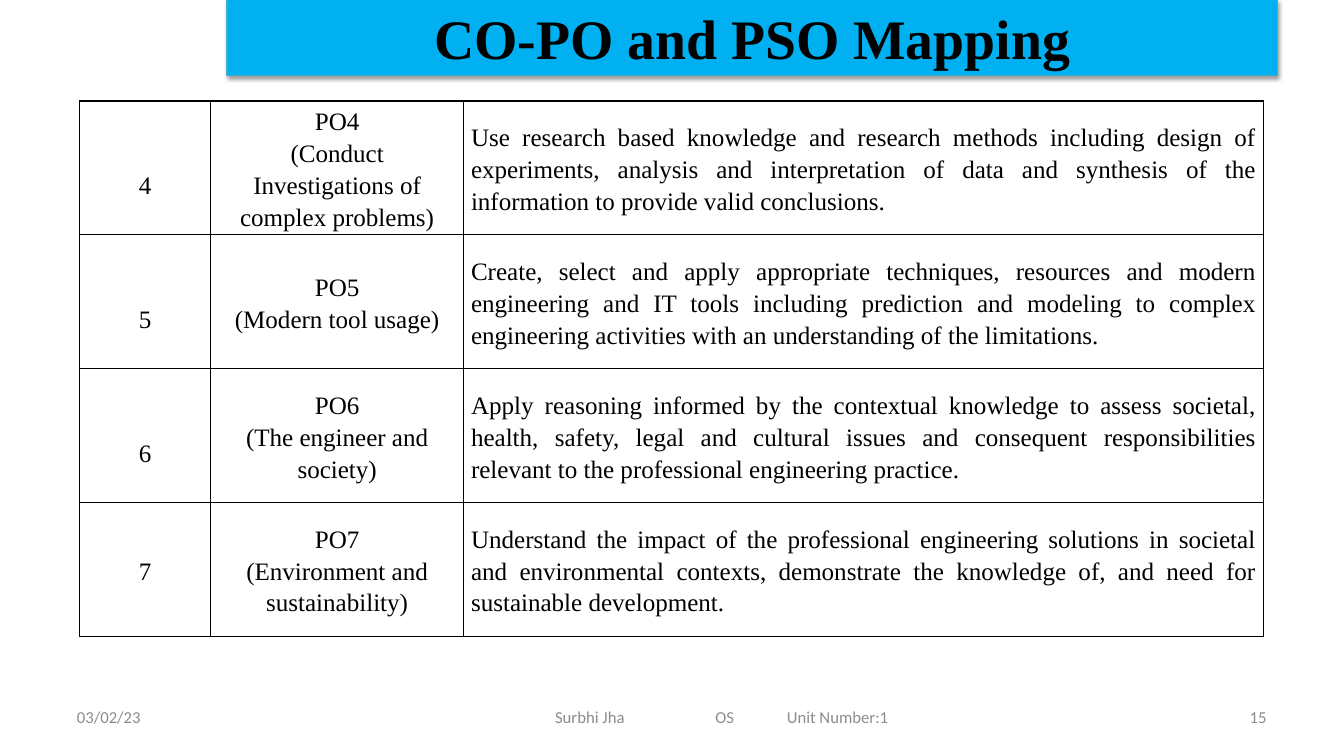
from lxml.etree import SubElement as Sub
from pptx import Presentation
from pptx.dml.color import RGBColor as RGB
from pptx.enum.shapes import MSO_SHAPE as Shape
from pptx.enum.text import MSO_ANCHOR as Anchor, PP_ALIGN as Align
from pptx.oxml import parse_xml
from pptx.oxml.ns import nsdecls, qn
from pptx.util import Cm, Pt

HUES = {"text": "000000", "bar": "00B0F0", "edge": "46AAC5", "foot": "8C8C8C"}
SERIF, SANS = "Times New Roman", "Calibri"


def style(para, font, size, hue, align):
    para.alignment = align
    para.font.name = font
    para.font.size = Pt(size)
    para.font.color.rgb = RGB.from_string(HUES[hue])


def outline(cell):
    """Draw a thin line on all four sides of a table cell."""
    props = cell._tc.get_or_add_tcPr()
    for side in ("lnL", "lnR", "lnT", "lnB"):
        line = Sub(props, qn(f"a:{side}"), w=str(Pt(1)))
        fill = Sub(line, qn("a:solidFill"))
        Sub(fill, qn("a:srgbClr"), val=HUES["text"])


deck = Presentation()
deck.slide_width, deck.slide_height = Cm(34.04), Cm(19.05)
slide = deck.slides.add_slide(deck.slide_layouts[6])

# Outcome table
rows = [
    ("4", "PO4\n(Conduct Investigations of complex problems)",
     "Use research based knowledge and research methods including design of "
     "experiments, analysis and interpretation of data and synthesis of the "
     "information to provide valid conclusions."),
    ("5", "PO5\n(Modern tool usage)",
     "Create, select and apply appropriate techniques, resources and modern "
     "engineering and IT tools including prediction and modeling to complex "
     "engineering activities with an understanding of the limitations."),
    ("6", "PO6\n(The engineer and society)",
     "Apply reasoning informed by the contextual knowledge to assess societal, "
     "health, safety, legal and cultural issues and consequent responsibilities "
     "relevant to the professional engineering practice."),
    ("7", "PO7\n(Environment and sustainability)",
     "Understand the impact of the professional engineering solutions in societal "
     "and environmental contexts, demonstrate the knowledge of, and need for "
     "sustainable development."),
]
widths = (3.33, 6.4, 20.27)
aligns = (Align.CENTER, Align.CENTER, Align.JUSTIFY)
height = 3.39

table = slide.shapes.add_table(len(rows), len(widths), Cm(2.01), Cm(2.56),
                               Cm(sum(widths)), Cm(height * len(rows))).table
table.first_row = table.horz_banding = False
for col, width in zip(table.columns, widths):
    col.width = Cm(width)
for r, row in enumerate(rows):
    table.rows[r].height = Cm(height)
    for c, text in enumerate(row):
        cell = table.cell(r, c)
        outline(cell)
        cell.fill.background()
        cell.vertical_anchor = Anchor.MIDDLE
        cell.margin_left = cell.margin_right = Cm(0.19)
        # All numbers but the last sit half a line below the middle
        low = c == 0 and r < len(rows) - 1
        cell.margin_top, cell.margin_bottom = Cm(0.81 if low else 0), 0
        cell.text = text
        for para in cell.text_frame.paragraphs:
            para.line_spacing = 1.15
            style(para, SERIF, 18, "text", aligns[c])

# Footer: left, width, text, alignment, tab stops
feet = [
    (1.7, 7.95, "03/02/23", Align.LEFT, ()),
    (13.81, 10, "Surbhi Jha\tOS\tUnit Number:1", Align.LEFT, (4.06, 5.87)),
    (24.38, 7.95, "15", Align.RIGHT, ()),
]
for left, width, text, align, stops in feet:
    box = slide.shapes.add_textbox(Cm(left), Cm(17.65), Cm(width), Cm(1.02))
    frame = box.text_frame
    frame.word_wrap = True
    frame.vertical_anchor = Anchor.MIDDLE
    frame.text = text
    para = frame.paragraphs[0]
    if stops:
        tabs = Sub(para._p.get_or_add_pPr(), qn("a:tabLst"))
        for stop in stops:
            Sub(tabs, qn("a:tab"), pos=str(Cm(stop)), algn="l")
    style(para, SANS, 12, "foot", align)

# Title bar
bar = slide.shapes.add_shape(Shape.RECTANGLE, Cm(5.75), 0, Cm(26.6), Cm(1.91))
bar.fill.solid()
bar.fill.fore_color.rgb = RGB.from_string(HUES["bar"])
bar.line.color.rgb = RGB.from_string(HUES["edge"])
bar.line.width = Pt(0.75)
bar.shadow.inherit = False
bar._element.spPr.find(qn("a:effectLst")).append(parse_xml(
    f'<a:outerShdw {nsdecls("a")} blurRad="{Pt(3.1)}" dist="{Pt(1.6)}" '
    f'dir="5400000" rotWithShape="0"><a:srgbClr val="{HUES["text"]}">'
    '<a:alpha val="38000"/></a:srgbClr></a:outerShdw>'))
bar.text_frame.text = "CO-PO and PSO Mapping"
bar.text_frame.vertical_anchor = Anchor.MIDDLE
title = bar.text_frame.paragraphs[0]
style(title, SERIF, 40, "text", Align.CENTER)
title.font.bold = True

deck.save("out.pptx")
